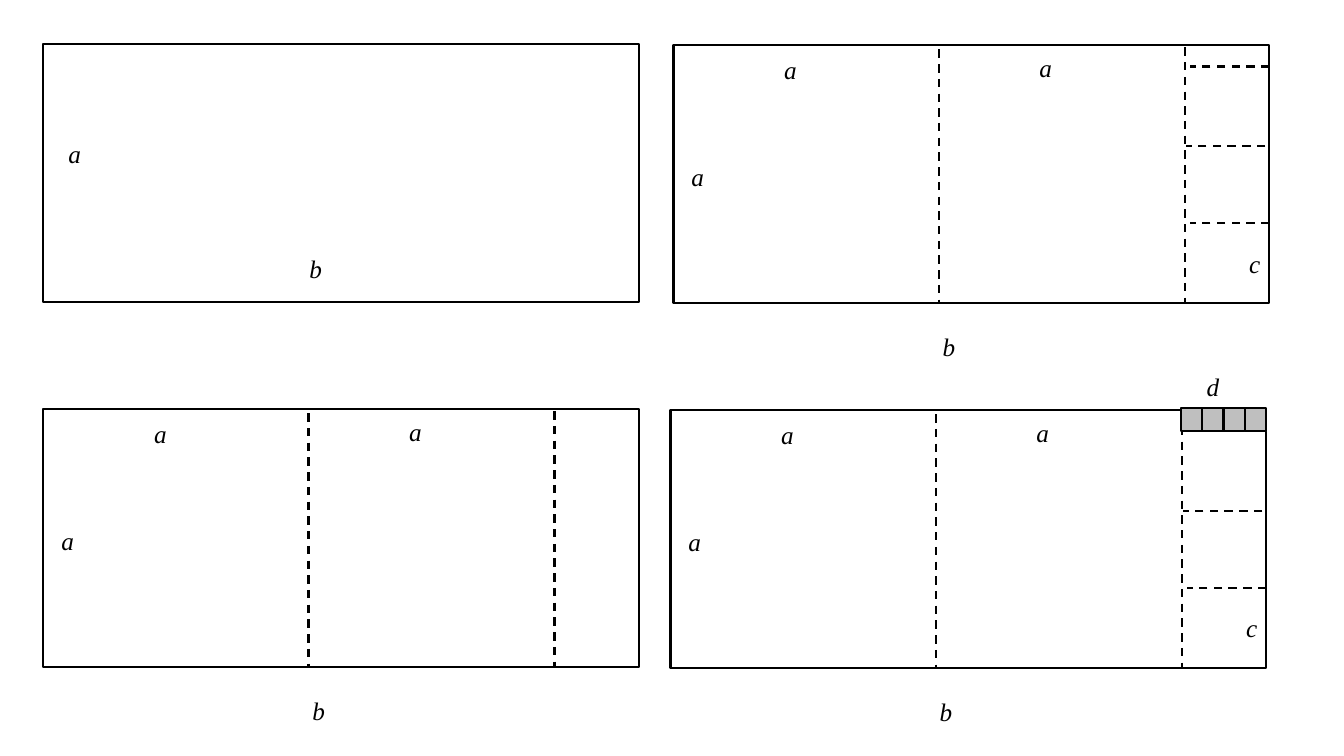
from pptx import Presentation
from pptx.dml.color import RGBColor
from pptx.enum.dml import MSO_LINE
from pptx.enum.shapes import MSO_CONNECTOR, MSO_SHAPE
from pptx.enum.text import MSO_AUTO_SIZE
from pptx.oxml.ns import qn
from pptx.util import Inches, Pt
from lxml.etree import SubElement

THEME = {
    "ink": RGBColor(0x00, 0x00, 0x00),
    "grey": RGBColor(0xBF, 0xBF, 0xBF),
    "font": "Times New Roman",
    "size": Pt(18),
    "line": Pt(1.5),
}

prs = Presentation()
prs.slide_width, prs.slide_height = Inches(13.33), Inches(7.5)
s = prs.slides.add_slide(prs.slide_layouts[6])

# The slide is a grid of 1333 columns by 750 rows.
COL, ROW = prs.slide_width / 1333, prs.slide_height / 750
PANEL_W, PANEL_H = 591, 256
LABEL_W = {"a": 33, "b": 29, "c": 31, "d": 33}
LABEL_H = 40
CELLS, CELL_H = 4, 23
CELL_W = 85 / CELLS


def grid(x, y, w, h):
    """Turn columns and rows into slide lengths."""
    return round(x * COL), round(y * ROW), round(w * COL), round(h * ROW)


def add_box(x, y, w, h, fill=None):
    sp = s.shapes.add_shape(MSO_SHAPE.RECTANGLE, *grid(x, y, w, h))
    sp.shadow.inherit = False
    if fill is None:
        sp.fill.background()
    else:
        sp.fill.solid()
        sp.fill.fore_color.rgb = fill
    sp.line.color.rgb = THEME["ink"]
    sp.line.width = THEME["line"]


# Places inside a panel count from its top left corner.
squares = [(263, 4, 263, 257), (507, 2, 507, 255)]
rung_top = (591, 21, 512, 21)
rungs = [rung_top, (587, 100, 508, 100), (591, 176, 512, 176)]
side_labels = [("a", 8, 110), ("a", 100, 4), ("a", 353, 2), ("b", 257, 279)]
c_label = ("c", 561, 196)

panels = [
    # left, top, dashed lines, labels, grey cells
    (43, 44, [], [("a", 15, 88), ("b", 254, 202)], 0),
    (668, 45, squares + rungs, side_labels + [c_label], 0),
    (43, 406, squares, side_labels, 0),
    (665, 407, squares + rungs, side_labels + [c_label, ("d", 522, -44)], CELLS),
]

for left, top, dashes, labels, cells in panels:
    add_box(left, top, PANEL_W, PANEL_H)

    for x1, y1, x2, y2 in dashes:
        line = s.shapes.add_connector(
            MSO_CONNECTOR.STRAIGHT, *grid(left + x1, top + y1, left + x2, top + y2))
        line.line.color.rgb = THEME["ink"]
        line.line.width = THEME["line"]
        line.line.dash_style = MSO_LINE.DASH
        SubElement(line._element.spPr, qn("a:effectLst"))

    for i in range(cells):
        add_box(left + PANEL_W - (cells - i) * CELL_W, top - 2,
                CELL_W, CELL_H, THEME["grey"])

    for text, x, y in labels:
        tf = s.shapes.add_textbox(
            *grid(left + x, top + y, LABEL_W[text], LABEL_H)).text_frame
        tf.word_wrap = text == "b"
        tf.auto_size = MSO_AUTO_SIZE.SHAPE_TO_FIT_TEXT
        p = tf.paragraphs[0]
        p.text = text
        p.font.name = THEME["font"]
        p.font.size = THEME["size"]
        p.font.italic = True
        p.font.color.rgb = THEME["ink"]

prs.save("out.pptx")
